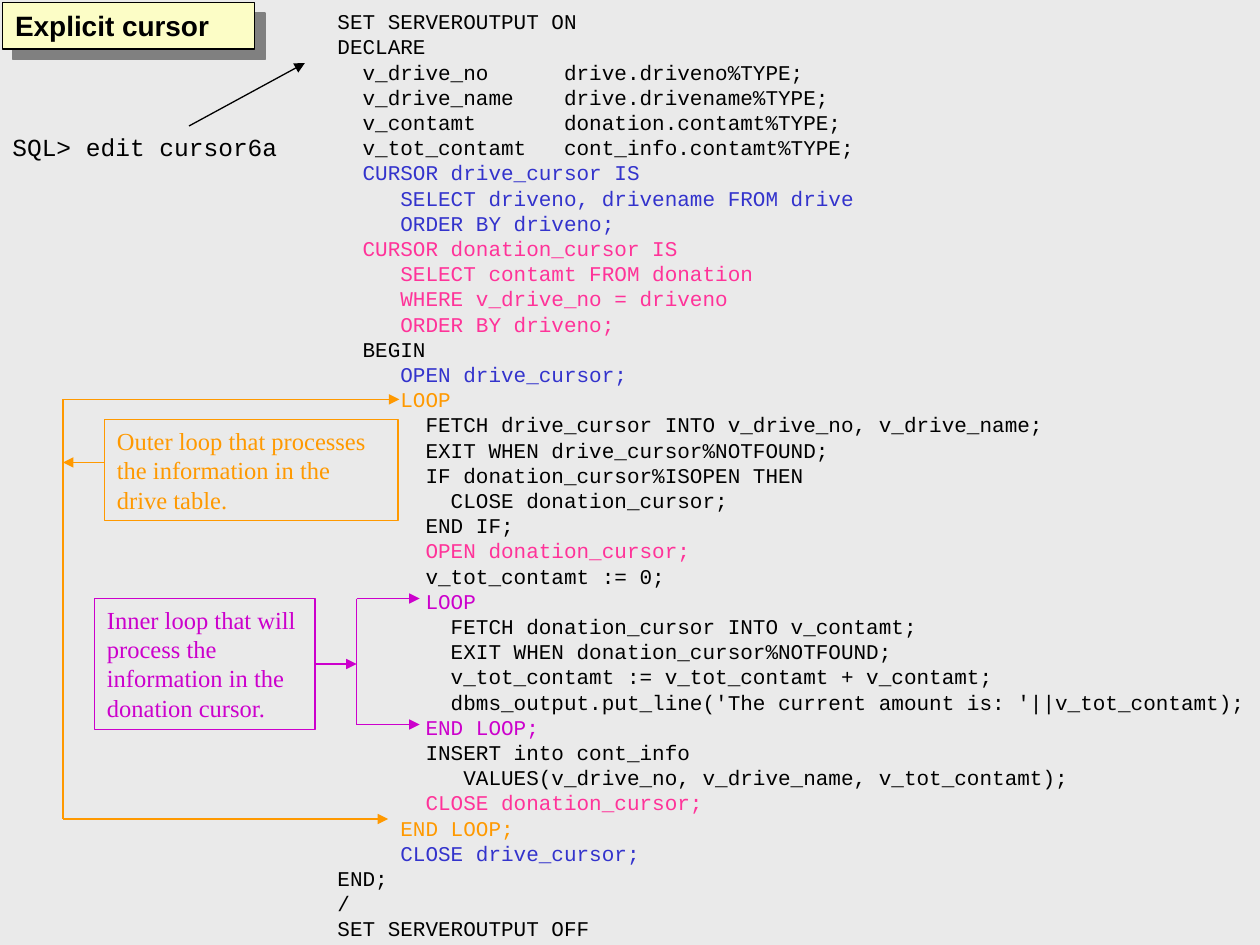
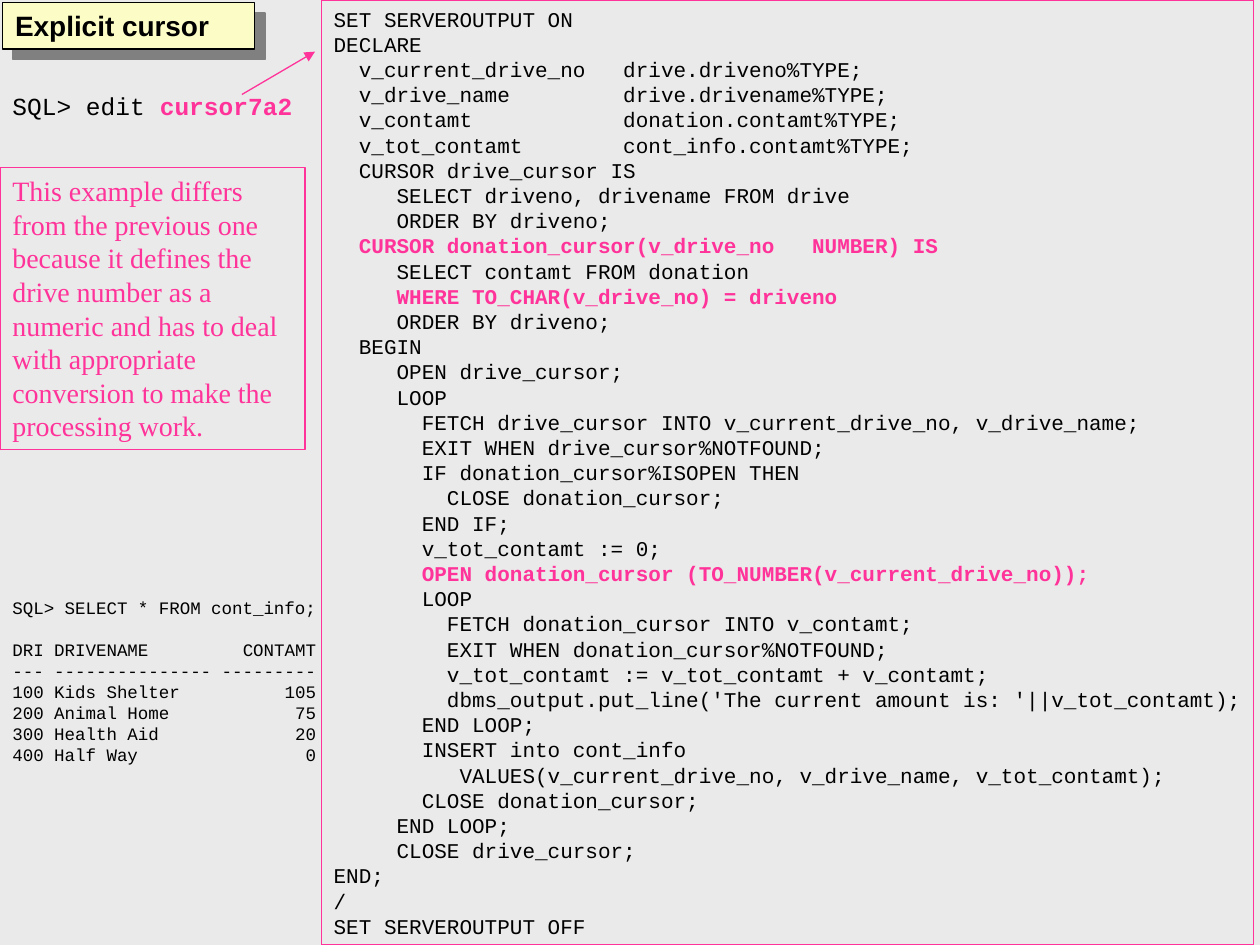
from lxml import etree
from pptx import Presentation
from pptx.dml.color import RGBColor
from pptx.enum.shapes import MSO_CONNECTOR, MSO_SHAPE
from pptx.enum.text import MSO_ANCHOR, MSO_AUTO_SIZE, PP_ALIGN
from pptx.oxml import parse_xml
from pptx.oxml.ns import nsdecls, qn
from pptx.util import Inches, Pt

RECT = MSO_SHAPE.RECTANGLE
LINE = MSO_CONNECTOR.STRAIGHT
LEFT, TOP, FIXED = PP_ALIGN.LEFT, MSO_ANCHOR.TOP, MSO_AUTO_SIZE.NONE
RIGHT_SIDE = 3

PAPER, CREAM, GREY, BLACK = "EAEAEA", "FCFDC6", "808080", "000000"
BLUE, PINK, ORANGE, PURPLE = "3333CC", "FF3399", "FF9900", "CC00CC"
SANS, MONO, SERIF = "Arial", "Courier New", "Times New Roman"

TITLE = "Explicit cursor"
CODE = [
    "SET SERVEROUTPUT ON",
    "DECLARE",
    "{vars[0]}",
    "{vars[1]}",
    "{vars[2]}",
    "{vars[3]}",
    "  CURSOR drive_cursor IS",
    "     SELECT driveno, drivename FROM drive",
    "     ORDER BY driveno;",
    "  CURSOR donation_cursor{param} IS",
    "     SELECT contamt FROM donation",
    "     WHERE {where} = driveno",
    "     ORDER BY driveno;",
    "  BEGIN",
    "     OPEN drive_cursor;",
    "     LOOP",
    "       FETCH drive_cursor INTO {key}, v_drive_name;",
    "       EXIT WHEN drive_cursor%NOTFOUND;",
    "       IF donation_cursor%ISOPEN THEN",
    "         CLOSE donation_cursor;",
    "       END IF;",
    "       {first}",
    "       {second}",
    "       LOOP",
    "         FETCH donation_cursor INTO v_contamt;",
    "         EXIT WHEN donation_cursor%NOTFOUND;",
    "         v_tot_contamt := v_tot_contamt + v_contamt;",
    "         dbms_output.put_line('The current amount is: '||v_tot_contamt);",
    "       END LOOP;",
    "       INSERT into cont_info",
    "          VALUES({key}, v_drive_name, v_tot_contamt);",
    "       CLOSE donation_cursor;",
    "     END LOOP;",
    "     CLOSE drive_cursor;",
    "END;",
    "/",
    "SET SERVEROUTPUT OFF",
]
TYPES = ["drive.driveno", "drive.drivename", "donation.contamt", "cont_info.contamt"]
RESET = "v_tot_contamt := 0;"
PLAIN = dict(key="v_drive_no", param="", where="v_drive_no",
             first="OPEN donation_cursor;", second=RESET)
CONVERT = dict(key="v_current_drive_no", param="(v_drive_no   NUMBER)",
               where="TO_CHAR(v_drive_no)", first=RESET,
               second="OPEN donation_cursor (TO_NUMBER(v_current_drive_no));")

# Code line numbers, counted from 1, by colour
PLAIN_TINTS = {BLUE: (7, 8, 9, 15, 34), PINK: (10, 11, 12, 13, 22, 32),
               ORANGE: (16, 33), PURPLE: (24, 29)}
CONVERT_TINTS = {PINK: (10, 12, 23)}

OUTER = "Outer loop that processes the information in the drive table."
INNER = "Inner loop that will process the information in the donation cursor."
CHANGE = ("This example differs from the previous one because it defines the drive "
          "number as a numeric and has to deal with appropriate conversion to make "
          "the processing work.")
QUERY = "SQL> SELECT * FROM cont_info;"
RESULT = ["DRI DRIVENAME\tCONTAMT", "--- --------------- ---------",
          "100 Kids Shelter\t105", "200 Animal Home\t75",
          "300 Health Aid\t20", "400 Half Way\t0"]


def rgb(color):
    return RGBColor.from_string(color)


def write(shape, lines, size, font=MONO, color=BLACK, bold=False, wrap=False):
    """Fill a shape; each line is a string or a list of (text, color, bold) runs."""
    frame = shape.text_frame
    frame.word_wrap, frame.auto_size, frame.vertical_anchor = wrap, FIXED, TOP
    for i, line in enumerate(lines):
        para = frame.add_paragraph() if i else frame.paragraphs[0]
        para.alignment = LEFT
        for text, tint, heavy in [(line, color, bold)] if isinstance(line, str) else line:
            run = para.add_run()
            run.text = text
            run.font.name, run.font.size, run.font.bold = font, Pt(size), heavy
            run.font.color.rgb = rgb(tint)


def label(slide, x, y, w, h, lines, size):
    box = slide.shapes.add_textbox(*map(Inches, (x, y, w, h)))
    write(box, lines, size)
    return box


def frame(slide, x, y, w, h, color):
    box = slide.shapes.add_shape(RECT, *map(Inches, (x, y, w, h)))
    box.shadow.inherit = False
    box.fill.background()
    box.line.color.rgb, box.line.width = rgb(color), Pt(0.75)
    return box


def note(slide, x, y, w, h, text, size, color):
    box = frame(slide, x, y, w, h, color)
    write(box, [text], size, SERIF, color, wrap=True)
    return box


def link(slide, x1, y1, x2, y2, color, arrow=True):
    line = slide.shapes.add_connector(LINE, *map(Inches, (x1, y1, x2, y2)))
    line.line.color.rgb, line.line.width = rgb(color), Pt(0.75)
    props = line._element.spPr
    if arrow:
        etree.SubElement(props.find(qn("a:ln")), qn("a:tailEnd"), type="triangle")
    etree.SubElement(props, qn("a:effectLst"))
    return line


def bracket(slide, x, tips, color):
    """Draw an upright line with an arrow to the right at each (tip x, y)."""
    for tip, y in tips:
        link(slide, x, y, tip, y, color)
    link(slide, x, tips[0][1], x, tips[-1][1], color, arrow=False)


def code(parts, pad, tints, bold=False):
    names = [parts["key"], "v_drive_name", "v_contamt", "v_tot_contamt"]
    decl = [f"  {n:<{pad}}{t}%TYPE;" for n, t in zip(names, TYPES)]
    tint = {n: color for color, nums in tints.items() for n in nums}
    return [[(text.format(vars=decl, **parts), tint.get(n, BLACK), bold and n in tint)]
            for n, text in enumerate(CODE, 1)]


def start(prs):
    slide = prs.slides.add_slide(prs.slide_layouts[5])
    title = slide.shapes.title
    title.left, title.top, title.width, title.height = map(Inches, (0.02, 0.02, 2, 0.37))
    title.fill.solid()
    title.fill.fore_color.rgb = rgb(CREAM)
    title.line.color.rgb, title.line.width = rgb(BLACK), Pt(0.75)
    title._element.spPr.append(parse_xml(
        f'<a:effectLst {nsdecls("a")}><a:outerShdw dist="{Pt(8.5)}" dir="2700000" '
        f'algn="ctr" rotWithShape="0"><a:srgbClr val="{GREY}"/></a:outerShdw></a:effectLst>'))
    write(title, [TITLE], 16, SANS, bold=True, wrap=True)
    return slide


def loops(prs):
    slide = start(prs)
    label(slide, 2.58, 0.02, 7.4, 7.5, code(PLAIN, 16, PLAIN_TINTS), 12)
    bracket(slide, 2.83, [(3.33, 4.75), (3.33, 5.75)], PURPLE)
    inner = note(slide, 0.75, 4.75, 1.75, 1.04, INNER, 14, PURPLE)
    link(slide, 2.5, 5.27, 2.83, 5.27, PURPLE).begin_connect(inner, RIGHT_SIDE)
    bracket(slide, 0.5, [(3.17, 3.17), (3.08, 6.5)], ORANGE)
    note(slide, 0.83, 3.33, 2.33, 0.8, OUTER, 14, ORANGE)
    link(slide, 0.83, 3.67, 0.5, 3.67, ORANGE)
    label(slide, 0, 1, 2.3, 0.34, ["SQL> edit cursor6a"], 14)
    link(slide, 1.5, 1, 2.42, 0.5, BLACK)


def convert(prs):
    slide = start(prs)
    box = frame(slide, 2.55, 0, 7.4, 7.5, PINK)
    write(box, code(CONVERT, 21, CONVERT_TINTS, bold=True), 12)
    label(slide, 0, 0.67, 2.42, 0.34,
          [[("SQL> edit ", BLACK, False), ("cursor7a2", PINK, True)]], 14)
    link(slide, 1.92, 0.75, 2.5, 0.41, PINK)
    note(slide, 0, 1.33, 2.42, 2.24, CHANGE, 16, PINK)
    table = label(slide, 0, 4.69, 2.62, 1.44, [QUERY] + RESULT, 10)
    paras = table.text_frame.paragraphs
    paras[1].space_before = Pt(12)
    for para in paras[1:]:
        tabs = etree.SubElement(para._p.get_or_add_pPr(), qn("a:tabLst"))
        etree.SubElement(tabs, qn("a:tab"), pos=str(Inches(2.41)), algn="r")


def main():
    prs = Presentation()
    prs.slide_width, prs.slide_height = Inches(10), Inches(7.5)
    back = prs.slide_master.background.fill
    back.solid()
    back.fore_color.rgb = rgb(PAPER)
    loops(prs)
    convert(prs)
    prs.save("out.pptx")


if __name__ == "__main__":
    main()
